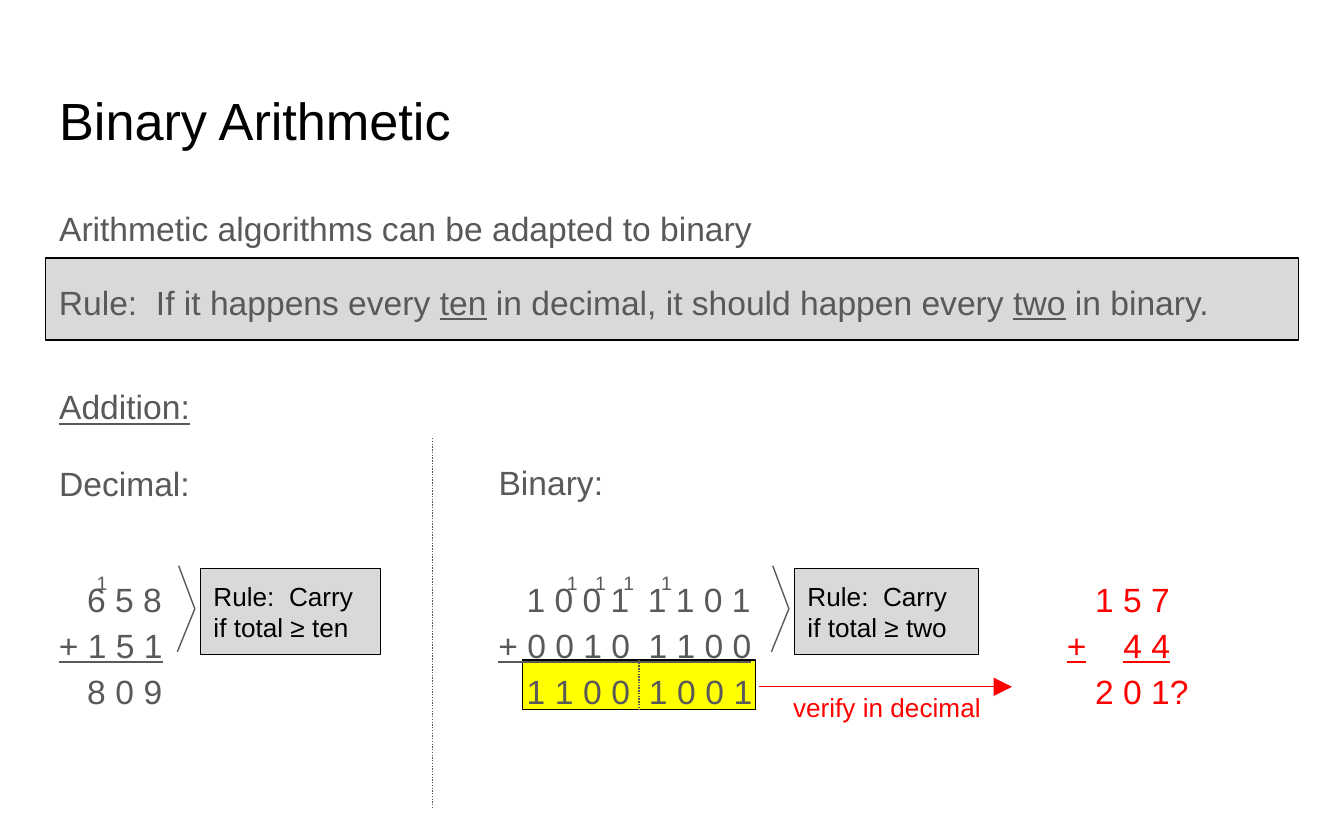
import pptx
import pptx.dml.color
import pptx.enum.dml
import pptx.enum.shapes
import pptx.enum.text
import pptx.util
from lxml import etree
from pptx.util import Inches

COLORS = {"text": "595959", "dark": "000000", "panel": "D9D9D9",
          "mark": "FFFF00", "check": "FF0000"}
NS = "http://schemas.openxmlformats.org/drawingml/2006/main"
ANCHOR = pptx.enum.text.MSO_ANCHOR
ALIGN = pptx.enum.text.PP_ALIGN
STEP, GAP, LEAD = 0.21, 0.07, 0.21


def color(name):
    return pptx.dml.color.RGBColor.from_string(COLORS[name])


def place(shape, box):
    shape.left, shape.top, shape.width, shape.height = map(Inches, box)


def style(run, size, tone, under):
    run.font.name = "Arial"
    run.font.size = pptx.util.Pt(size)
    run.font.bold = False
    run.font.color.rgb = color(tone)
    run.font.underline = under


def write(shape, lines, size=18, tone="text", under=(), space=1.15,
          after=0, anchor=ANCHOR.TOP, align=ALIGN.LEFT):
    frame = shape.text_frame
    frame.text = "\n".join(lines)
    frame.word_wrap = True
    frame.auto_size = pptx.enum.text.MSO_AUTO_SIZE.NONE
    frame.vertical_anchor = anchor
    frame.margin_left = frame.margin_right = Inches(0.1)
    frame.margin_top = frame.margin_bottom = Inches(0.1)
    for num, para in enumerate(frame.paragraphs):
        para.alignment = align
        para.line_spacing = space
        para.space_before = pptx.util.Pt(0)
        para.space_after = pptx.util.Pt(after)
        for run in para.runs:
            style(run, size, tone, num in under)
    return frame


def label(slide, box, lines, **look):
    shape = slide.shapes.add_textbox(*map(Inches, box))
    return write(shape, lines, **look)


def panel(slide, box, fill):
    shape = slide.shapes.add_shape(
        pptx.enum.shapes.MSO_SHAPE.RECTANGLE, *map(Inches, box))
    shape.shadow.inherit = False
    shape.fill.solid()
    shape.fill.fore_color.rgb = color(fill)
    shape.line.color.rgb = color("dark")
    shape.line.width = pptx.util.Pt(0.75)
    return shape


def line(slide, start, end, tone, dotted=False, arrow=False):
    link = slide.shapes.add_connector(
        pptx.enum.shapes.MSO_CONNECTOR.STRAIGHT, *map(Inches, start + end))
    link.line.color.rgb = color(tone)
    link.line.width = pptx.util.Pt(0.75)
    if dotted:
        link.line.dash_style = pptx.enum.dml.MSO_LINE.ROUND_DOT
    if arrow:
        etree.SubElement(link.line._get_or_add_ln(), f"{{{NS}}}tailEnd",
                         type="triangle", w="lg", len="lg")
    etree.SubElement(link._element.spPr, f"{{{NS}}}effectLst")
    return link


def body(holder, box, lines, **look):
    place(holder, box)
    frame = write(holder, lines, after=16, **look)
    for para in frame.paragraphs:
        props = para._p.get_or_add_pPr()
        props.set("marL", "0")
        props.set("indent", "0")
        etree.SubElement(props, f"{{{NS}}}buNone")


def indent(para):
    para._p.get_or_add_pPr().set("marL", str(Inches(LEAD)))


def digits(slide, left, top, text, tall, raised=False):
    for num, digit in enumerate(text):
        if digit == " ":
            continue
        spot = left + num * STEP + num // 4 * GAP
        frame = label(slide, (spot, top, 0.38, tall), [digit])
        if raised:
            run = frame.paragraphs[0].runs[0]
            run._r.get_or_add_rPr().set("baseline", "30000")


def rule(slide, box):
    shape = panel(slide, box, "panel")
    frame = write(shape, [""], anchor=ANCHOR.MIDDLE)
    parts = ["Rule:  If it happens every ", "ten",
             " in decimal, it should happen every ", "two", " in binary."]
    for num, part in enumerate(parts):
        run = frame.paragraphs[0].add_run()
        run.text = part
        style(run, 18, "text", num % 2 == 1)


def carry(slide, box, base):
    left, top, width, tall = box
    pen = slide.shapes.build_freeform(
        Inches(left + 0.01), Inches(top), scale=1.0)
    pen.add_line_segments(
        [(Inches(left + 0.13), Inches(top + tall / 2)),
         (Inches(left), Inches(top + tall))], close=False)
    angle = pen.convert_to_shape()
    angle.shadow.inherit = False
    angle.fill.background()
    angle.line.color.rgb = color("text")
    angle.line.width = pptx.util.Pt(0.75)
    note = panel(slide, (left + 0.17, top + 0.02, width - 0.17, tall), "panel")
    write(note, [f"Rule:  Carry if total ≥ {base}"], size=14, tone="dark",
          space=1, anchor=ANCHOR.MIDDLE)


def tally(slide, box, terms, total, marks, shift):
    left, top, width, tall = box
    frame = label(slide, box, terms, under=(1,))
    indent(frame.paragraphs[0])
    start = left + LEAD
    digits(slide, start, top + 0.69, total, 0.55)
    digits(slide, start + shift, top - 0.09, marks, 0.55, raised=True)


def result(slide, box):
    mark = panel(slide, box, "mark")
    split = line(slide, box[:2], box[:2], "text", dotted=True)
    split.begin_connect(mark, 0)
    split.end_connect(mark, 2)


def check(slide, box):
    left, top, width, tall = box
    line(slide, (left, top + 0.95), (left + 1.88, top + 0.95), "check",
         arrow=True)
    label(slide, (left + 0.02, top + 1, 1.86, 0.2), ["verify in decimal"],
          size=14, tone="check", space=1, anchor=ANCHOR.MIDDLE,
          align=ALIGN.CENTER)
    frame = label(slide, (left + 2.19, top, width - 2.19, tall),
                  ["1 5 7", "+\t4 4", "2 0 1?"], tone="check", under=(1,))
    first, second, third = frame.paragraphs
    indent(first)
    indent(third)
    tabs = etree.SubElement(second._p.get_or_add_pPr(), f"{{{NS}}}tabLst")
    etree.SubElement(tabs, f"{{{NS}}}tab", pos=str(Inches(0.42)), algn="l")


def main():
    deck = pptx.Presentation()
    deck.slide_width, deck.slide_height = Inches(10), Inches(6.25)
    slide = deck.slides.add_slide(deck.slide_layouts[4])
    title, intro, first, second, spare = slide.placeholders
    spare._element.getparent().remove(spare._element)

    place(title, (0.34, 0.54, 9.32, 0.7))
    write(title, ["Binary Arithmetic"], size=28, tone="dark", space=1,
          anchor=ANCHOR.MIDDLE)
    body(intro, (0.34, 1.4, 9.32, 4.15),
         ["Arithmetic algorithms can be adapted to binary"])
    body(first, (0.34, 2.73, 9.32, 4.15), ["Addition:", "Decimal:"],
         under=(0,))
    body(second, (3.61, 3.29, 5.68, 2.74), ["Binary:"])

    rule(slide, (0.34, 1.92, 9.32, 0.61))
    line(slide, (3.22, 3.26), (3.22, 6.02), "text", dotted=True)
    tally(slide, (0.34, 4.16, 1.91, 1.12), ["6 5 8", "+ 1 5 1"],
          "809", "1", 0.07)
    carry(slide, (1.32, 4.21, 1.51, 0.64), "ten")
    result(slide, (3.89, 4.91, 1.73, 0.37))
    tally(slide, (3.61, 4.16, 2.8, 1.12),
          ["1 0 0 1  1 1 0 1", "+ 0 0 1 0  1 1 0 0"],
          "11001001", " 1111", 0.09)
    carry(slide, (5.74, 4.21, 1.54, 0.64), "two")
    check(slide, (5.65, 4.16, 4.1, 1.12))
    deck.save("out.pptx")


if __name__ == "__main__":
    main()
